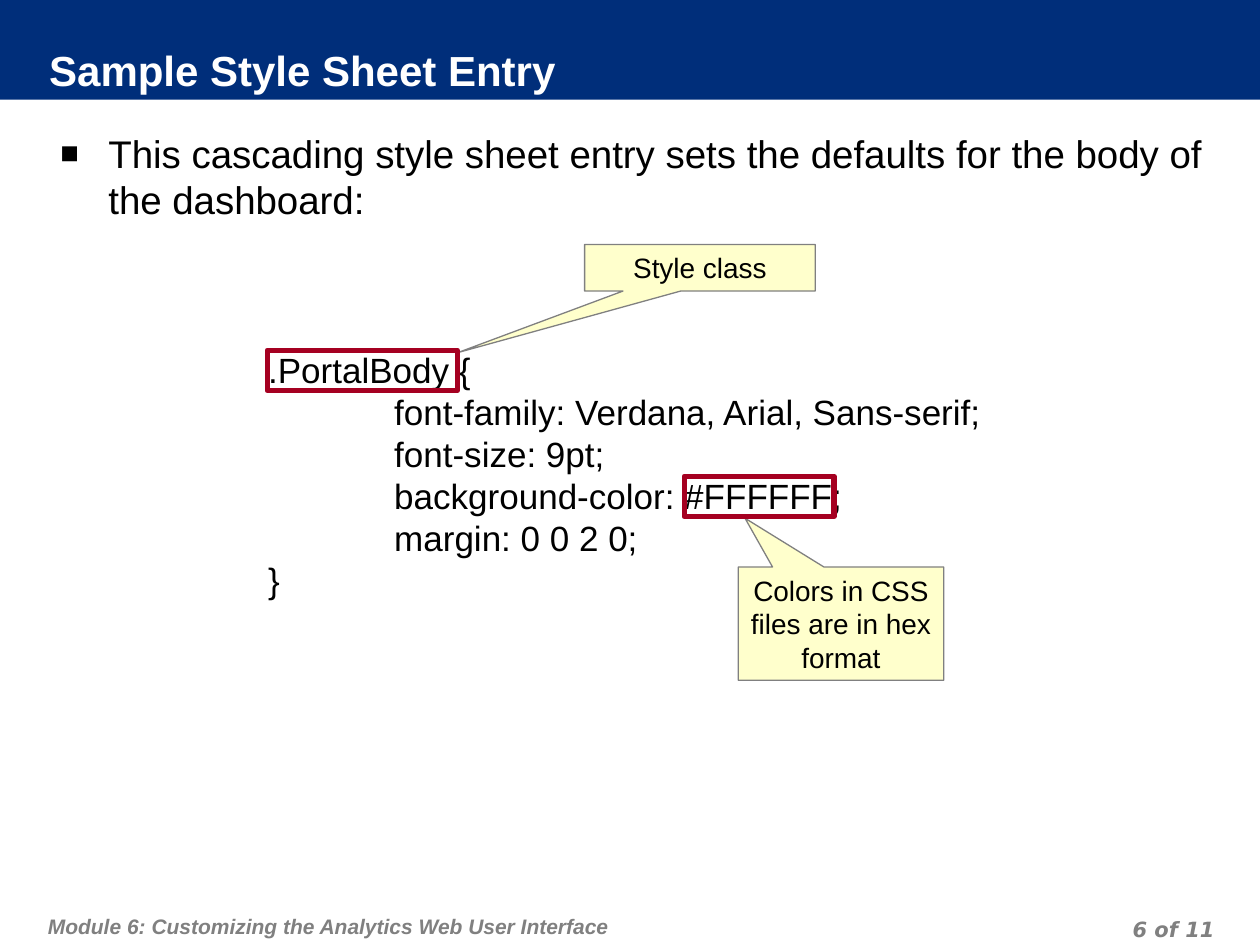
"""Build the slide that explains a sample style sheet entry."""
from lxml import etree
from pptx import Presentation
from pptx.dml.color import RGBColor
from pptx.enum.shapes import MSO_SHAPE
from pptx.enum.text import MSO_ANCHOR, MSO_AUTO_SIZE, PP_ALIGN
from pptx.oxml.ns import qn
from pptx.util import Inches, Pt

RECT, CALL = MSO_SHAPE.RECTANGLE, MSO_SHAPE.RECTANGULAR_CALLOUT
TOP, MID = MSO_ANCHOR.TOP, MSO_ANCHOR.MIDDLE
LEFT, MIDST, RIGHT = PP_ALIGN.LEFT, PP_ALIGN.CENTER, PP_ALIGN.RIGHT
NAVY, RED, CREAM, GRAY = "002E7A", "A50021", "FFFFCC", "808080"


def tint(code):
    """Turn a hex string into a colour."""
    return RGBColor.from_string(code)


def put(shape, lines, size, color="000000", ins=(0.1, 0.05, 0.1, 0.05),
        anchor=TOP, align=LEFT, face="Arial", bold=False, slant=False, wrap=True):
    """Fill a shape with lines of text in one style."""
    frame = shape.text_frame
    frame.word_wrap = wrap
    frame.auto_size = MSO_AUTO_SIZE.NONE
    frame.vertical_anchor = anchor
    (frame.margin_left, frame.margin_top,
     frame.margin_right, frame.margin_bottom) = map(Inches, ins)
    for i, line in enumerate(lines):
        para = frame.paragraphs[0] if i == 0 else frame.add_paragraph()
        para.alignment = align
        para.space_before = Pt(0)
        run = para.add_run()
        run.text = line
        font = run.font
        font.name, font.size, font.bold, font.italic = face, Pt(size), bold, slant
        font.color.rgb = tint(color)
    return frame.paragraphs


deck = Presentation()
deck.slide_width, deck.slide_height = Inches(10), Inches(7.5)
slide = deck.slides.add_slide(deck.slide_layouts[1])
shapes = slide.shapes

band = shapes.add_shape(RECT, 0, 0, Inches(10), Inches(0.79))
band.shadow.inherit = False
band.fill.solid()
band.fill.fore_color.rgb = tint(NAVY)
band.line.fill.background()
shapes._spTree.insert(2, band._element)

title, body = shapes.title, slide.placeholders[1]
for item, box in ((title, (0.39, 0.38, 7.87, 0.4)), (body, (0.38, 0.93, 9.3, 6.18))):
    item.left, item.top, item.width, item.height = map(Inches, box)
title.fill.solid()
title.fill.fore_color.rgb = tint(NAVY)
put(title, ["Sample Style Sheet Entry"], 24, "FFFFFF", (0, 0, 0.05, 0.05), MID, bold=True)

lead = put(body, ["This cascading style sheet entry sets the defaults "
                  "for the body of the dashboard:"], 22, ins=(0.1, 0.1, 0.1, 0.05))[0]
props = lead._p.get_or_add_pPr()
props.set("marL", str(Inches(0.38)))
props.set("indent", str(-Inches(0.38)))
hue = etree.SubElement(props, qn("a:buClr"))
etree.SubElement(hue, qn("a:srgbClr"), val="000000")
etree.SubElement(props, qn("a:buSzPct"), val="80000")
etree.SubElement(props, qn("a:buFont"), typeface="Arial")
etree.SubElement(props, qn("a:buChar"), char="■")

code = shapes.add_textbox(*map(Inches, (2.03, 2.72, 5.88, 2.1)))
rules = [".PortalBody {", "\tfont-family: Verdana, Arial, Sans-serif;",
         "\tfont-size: 9pt;", "\tbackground-color: #FFFFFF;",
         "\tmargin: 0 0 2 0;", "}"]
for para in put(code, rules, 20, wrap=False):
    tabs = etree.SubElement(para._p.get_or_add_pPr(), qn("a:tabLst"))
    etree.SubElement(tabs, qn("a:tab"), pos=str(Inches(1)), algn="l")

notes = [
    ("Colors in CSS files are in hex format", (5.86, 4.5, 1.63, 0.9), (-0.467, -0.93)),
    ("Style class", (4.64, 1.94, 1.83, 0.37), (-1.05, 1.821)),
]
for text, box, tip in notes:
    note = shapes.add_shape(CALL, *map(Inches, box))
    note.shadow.inherit = False
    note.adjustments[0], note.adjustments[1] = tip
    note.fill.solid()
    note.fill.fore_color.rgb = tint(CREAM)
    note.line.color.rgb = tint(GRAY)
    note.line.width = Pt(0.75)
    put(note, [text], 16, anchor=MID, align=MIDST)

for box in ((2.12, 2.78, 1.51, 0.32), (5.43, 3.78, 1.19, 0.32)):
    mark = shapes.add_shape(RECT, *map(Inches, box))
    mark.shadow.inherit = False
    mark.fill.background()
    mark.line.color.rgb = tint(RED)
    mark.line.width = Pt(3)

feet = [
    ("Module 6: Customizing the Analytics Web User Interface",
     (0.33, 7.1, 6.18, 0.4), 0.1, 0.05, LEFT, "Arial"),
    ("6 of 11", (7.36, 7.22, 2.33, 0.25), 0, 0, RIGHT, "DejaVu Sans"),
]
for text, box, top, low, align, face in feet:
    foot = shapes.add_textbox(*map(Inches, box))
    para = put(foot, [text], 12, GRAY, (0.05, top, 0.05, low),
               align=align, face=face, bold=True, slant=True)[0]
    para.line_spacing = Pt(18)

deck.save("out.pptx")
